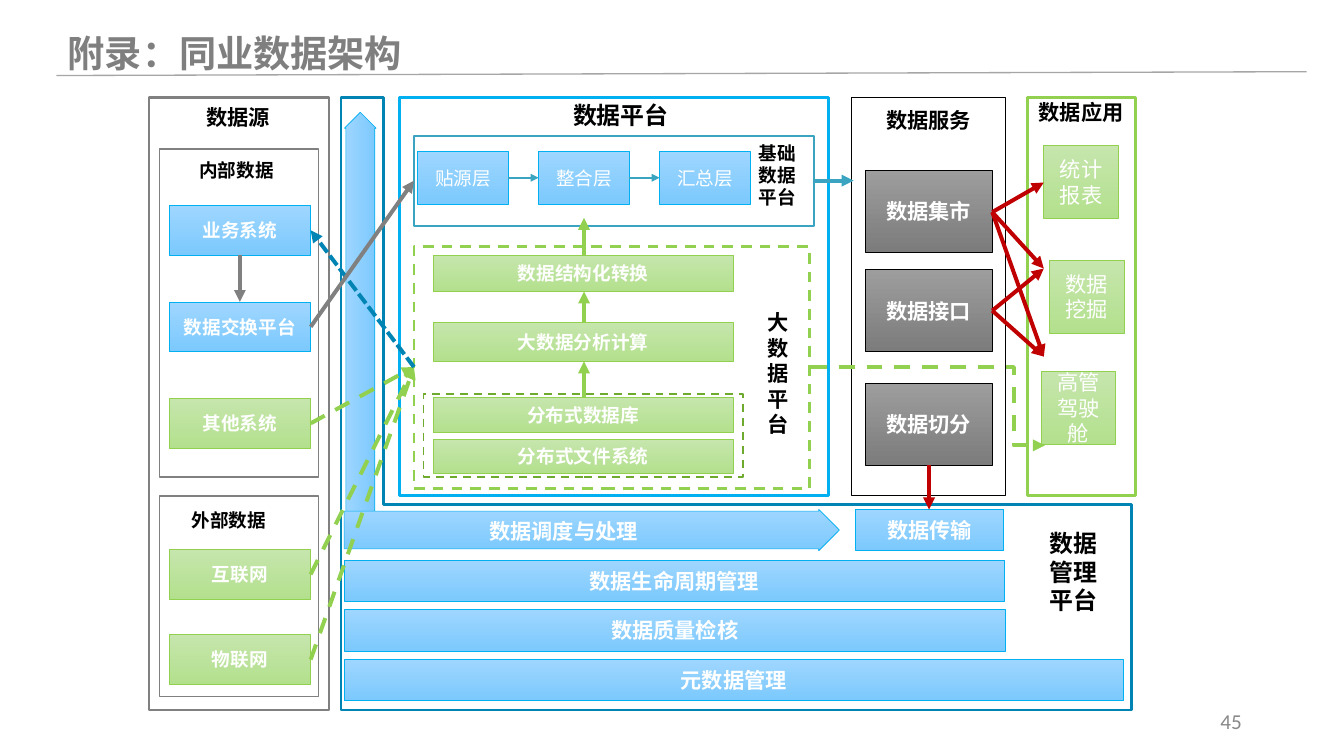
"""Builds the appendix slide on the data architecture of peer institutions."""
import dataclasses

import lxml.etree
import pptx
import pptx.dml.color
import pptx.enum.dml
import pptx.enum.shapes
import pptx.enum.text
import pptx.oxml.ns
import pptx.util

Pt = pptx.util.Pt
qn = pptx.oxml.ns.qn
RGB = pptx.dml.color.RGBColor.from_string
SHAPE = pptx.enum.shapes.MSO_SHAPE
CONNECTOR = pptx.enum.shapes.MSO_CONNECTOR
DASH = pptx.enum.dml.MSO_LINE.DASH
SHORT_DASH = pptx.enum.dml.MSO_LINE.SQUARE_DOT
ALIGN = pptx.enum.text.PP_ALIGN
ANCHOR = pptx.enum.text.MSO_ANCHOR


@dataclasses.dataclass(frozen=True)
class Theme:
    font: str = "Noto Sans CJK SC"
    number_font: str = "Calibri"
    title_size: int = 28
    large: int = 18
    medium: int = 16
    small: int = 14
    line_height: float = 1.2
    white: str = "FFFFFF"
    black: str = "000000"
    title: str = "7F7F7F"
    number: str = "898989"
    rule: str = "A6A6A6"
    gray: str = "808080"
    sky: str = "00B0F0"
    teal: str = "3AA4C1"
    blue: str = "0084B4"
    green: str = "92D050"
    dark_green: str = "6EAA2E"
    red: str = "C00000"
    blue_box: tuple = ("9ED6FF", "7CC9FD", "00B0F0")
    green_box: tuple = ("C6E6AD", "B3E08D", "92D050")
    gray_box: tuple = ("9D9D9D", "7C7C7C", "000000")


THEME = Theme()


def write_text(shape, text, size, color, bold=True, align=ALIGN.CENTER, font=THEME.font):
    frame = shape.text_frame
    frame.text = text
    frame.word_wrap = True
    for paragraph in frame.paragraphs:
        paragraph.alignment = align
        paragraph.line_spacing = Pt(size * THEME.line_height)
        for run in paragraph.runs:
            run.font.name = font
            run.font.size = Pt(size)
            run.font.bold = bold
            run.font.color.rgb = RGB(color)
            lxml.etree.SubElement(run.font._element, qn("a:ea"), typeface=font)


def set_line(line, color, width, dash=None):
    line.color.rgb = RGB(color)
    line.width = Pt(width)
    if dash is not None:
        line.dash_style = dash


def add_frame(slide, bounds, color, width, dash=None, fill=None):
    shape = slide.shapes.add_shape(SHAPE.RECTANGLE, *map(Pt, bounds))
    shape.shadow.inherit = False
    if fill:
        shape.fill.solid()
        shape.fill.fore_color.rgb = RGB(fill)
    else:
        shape.fill.background()
    set_line(shape.line, color, width, dash)


def add_box(slide, bounds, colors, text="", size=THEME.small, bold=True, kind=SHAPE.RECTANGLE):
    shape = slide.shapes.add_shape(kind, *map(Pt, bounds))
    shape.shadow.inherit = False
    shape.fill.gradient()
    shape.fill.gradient_angle = 270
    for stop, color in zip(shape.fill.gradient_stops, colors):
        stop.color.rgb = RGB(color)
    set_line(shape.line, colors[2], 0.5)
    if text:
        shape.text_frame.vertical_anchor = ANCHOR.MIDDLE
        write_text(shape, text, size, THEME.white, bold)
    return shape


def add_block_arrow(slide, bounds, rotation=0):
    shape = add_box(slide, bounds, THEME.blue_box, kind=SHAPE.RIGHT_ARROW)
    shape.adjustments[0] = 0.916
    shape.adjustments[1] = 0.5
    shape.rotation = rotation


def add_label(slide, bounds, text, size, color=THEME.black, anchor=ANCHOR.TOP, margin=None, **style):
    shape = slide.shapes.add_textbox(*map(Pt, bounds))
    frame = shape.text_frame
    frame.vertical_anchor = anchor
    if margin is not None:
        frame.margin_left = frame.margin_right = Pt(margin)
        frame.margin_top = frame.margin_bottom = Pt(margin)
    write_text(shape, text, size, color, **style)


def add_line(slide, start, end, color, width=3, dash=None, head=True, bend=None):
    kind = CONNECTOR.ELBOW if bend else CONNECTOR.STRAIGHT
    connector = slide.shapes.add_connector(kind, *map(Pt, (*start, *end)))
    set_line(connector.line, color, width, dash)
    properties = connector._element.spPr
    if head:
        lxml.etree.SubElement(properties.find(qn("a:ln")), qn("a:tailEnd"), type="triangle")
    if bend:
        geometry = properties.find(qn("a:prstGeom"))
        guides = geometry.find(qn("a:avLst"))
        if guides is None:
            guides = lxml.etree.SubElement(geometry, qn("a:avLst"))
        lxml.etree.SubElement(guides, qn("a:gd"), name="adj1", fmla=f"val {round(bend * 100000)}")
    lxml.etree.SubElement(properties, qn("a:effectLst"))


def add_outline(slide, points, color, width):
    corners = [tuple(map(Pt, point)) for point in points]
    builder = slide.shapes.build_freeform(*corners[0])
    builder.add_line_segments(corners[1:], close=True)
    shape = builder.convert_to_shape()
    shape.shadow.inherit = False
    shape.fill.background()
    set_line(shape.line, color, width)


def add_sources(slide):
    add_frame(slide, (112.3, 73.4, 135.4, 461.5), THEME.gray, 2)
    add_frame(slide, (120.2, 112.3, 119.5, 247), THEME.gray, 1)
    add_frame(slide, (120.2, 373.7, 119.5, 151.2), THEME.gray, 1)
    add_label(slide, (139.7, 74.9, 79.2, 26.6), "数据源", THEME.medium)
    add_label(slide, (126, 115.9, 104.4, 24.5), "内部数据", THEME.small)
    add_label(slide, (120.2, 380.2, 104.4, 24.5), "外部数据", THEME.small)
    for top, text, colors in (
        (154.8, "业务系统", THEME.blue_box),
        (227.5, "数据交换平台", THEME.blue_box),
        (300.2, "其他系统", THEME.green_box),
        (414, "互联网", THEME.green_box),
        (478.1, "物联网", THEME.green_box),
    ):
        add_box(slide, (127.4, top, 106.6, 37.4), colors, text)


def add_management(slide):
    add_outline(slide, ((257, 73.4), (288.7, 73.4), (288.7, 380.2), (852.5, 380.2),
                        (852.5, 535), (257, 535)), THEME.blue, 2)
    add_block_arrow(slide, (107.3, 236.9, 328.3, 23.8), 270)
    add_block_arrow(slide, (259.2, 383.8, 373, 31))
    add_label(slide, (355, 385.2, 139, 30.2), "数据调度与处理", THEME.medium, THEME.white, ANCHOR.MIDDLE)
    for left, top, width, text in (
        (644.4, 383.8, 111.6, "数据传输"),
        (259.2, 421.9, 497.5, "数据生命周期管理"),
        (259.2, 459.4, 498.2, "数据质量检核"),
        (259.2, 496.8, 586.8, "元数据管理"),
    ):
        add_box(slide, (left, top, width, 31), THEME.blue_box, text, THEME.medium)
    add_label(slide, (770.4, 394.6, 75.6, 72.7), "数据\n管理\n平台", THEME.large)


def add_platform(slide):
    add_frame(slide, (301, 73.4, 323.3, 300.2), THEME.sky, 2)
    add_frame(slide, (311.8, 185.8, 298.1, 182.2), THEME.green, 2, DASH)
    add_frame(slide, (319, 296.6, 240.5, 62.6), THEME.dark_green, 1.5, DASH)
    add_frame(slide, (311.8, 102.2, 301, 68.4), THEME.teal, 1.5)
    add_label(slide, (406.1, 72, 123.1, 28.8), "数据平台", THEME.large)
    add_label(slide, (561.6, 103, 48.2, 58.3), "基础数据平台", THEME.small)
    add_label(slide, (571, 229.7, 28.1, 104.4), "大数据平台", THEME.medium)
    for column, text in enumerate(("贴源层", "整合层", "汇总层")):
        left = 314.6 + column * 91.1
        add_box(slide, (left, 113.8, 68.4, 40.3), THEME.blue_box, text, bold=False)
        if column:
            add_line(slide, (left - 22.7, 133.9), (left, 133.9), THEME.teal, 1.5)
    for top, height, text in (
        (192.2, 27.4, "数据结构化转换"),
        (242.6, 29.5, "大数据分析计算"),
        (299.5, 26.6, "分布式数据库"),
        (331.2, 25.2, "分布式文件系统"),
    ):
        add_box(slide, (326.2, top, 226.1, height), THEME.green_box, text)


def add_services(slide):
    add_frame(slide, (641.5, 73.4, 115.9, 300.2), THEME.black, 1, fill=THEME.white)
    add_label(slide, (647.3, 77, 104.4, 26.6), "数据服务", THEME.medium)
    for top, text in ((128.2, "数据集市"), (203, "数据接口"), (288.7, "数据切分")):
        add_box(slide, (651.6, top, 95.8, 61.9), THEME.gray_box, text, THEME.medium)


def add_applications(slide):
    add_frame(slide, (774, 73.4, 81.4, 300.2), THEME.green, 2)
    add_label(slide, (768.2, 71.3, 92.2, 26.6), "数据应用", THEME.medium)
    for left, top, text in ((786.2, 109.4, "统计报表"), (790.6, 195.8, "数据挖掘"), (784.1, 279.4, "高管驾驶舱")):
        add_box(slide, (left, top, 56.2, 55.4), THEME.green_box, text, THEME.medium, False)


def add_flows(slide):
    big_data_entry = (311.8, 276.5)
    for top in (318.9, 432.7, 496.8):
        add_line(slide, (234, top), big_data_entry, THEME.green, dash=DASH)
    add_line(slide, big_data_entry, (234, 173.5), THEME.blue, dash=SHORT_DASH)
    add_line(slide, (180.7, 192.2), (180.7, 227.5), THEME.gray)
    add_line(slide, (234, 246.2), (311.8, 136.1), THEME.gray)
    for bottom, top in ((192.2, 164.2), (242.6, 219.6), (299.5, 272.2)):
        add_line(slide, (439.9, bottom), (439.9, top), THEME.green)
    add_line(slide, (612.7, 136.1), (643, 136.1), THEME.teal)
    add_line(slide, (610.6, 276.5), (787, 335.5), THEME.green, dash=DASH, bend=0.868)
    for service, targets in ((159.8, (137.5, 202.3, 268.6)), (234, (202.3, 268.6))):
        for target in targets:
            add_line(slide, (747.4, service), (786.2, target), THEME.red)
    add_line(slide, (699.8, 350.6), (699.8, 383.8), THEME.red)


def main():
    presentation = pptx.Presentation()
    presentation.slide_width, presentation.slide_height = Pt(1012.3), Pt(569.5)
    slide = presentation.slides.add_slide(presentation.slide_layouts[6])
    add_line(slide, (42.5, 56.9), (984.2, 54), THEME.rule, 1, head=False)
    for add_section in (add_sources, add_management, add_platform, add_services, add_applications, add_flows):
        add_section(slide)
    add_label(slide, (715, 527.8, 227.5, 30.2), "45", THEME.medium, THEME.number, ANCHOR.MIDDLE,
              bold=False, align=ALIGN.RIGHT, font=THEME.number_font)
    add_label(slide, (51.1, 23, 591.1, 33.8), "附录：同业数据架构", THEME.title_size, THEME.title,
              ANCHOR.MIDDLE, 0, align=ALIGN.LEFT)
    presentation.save("out.pptx")


if __name__ == "__main__":
    main()
